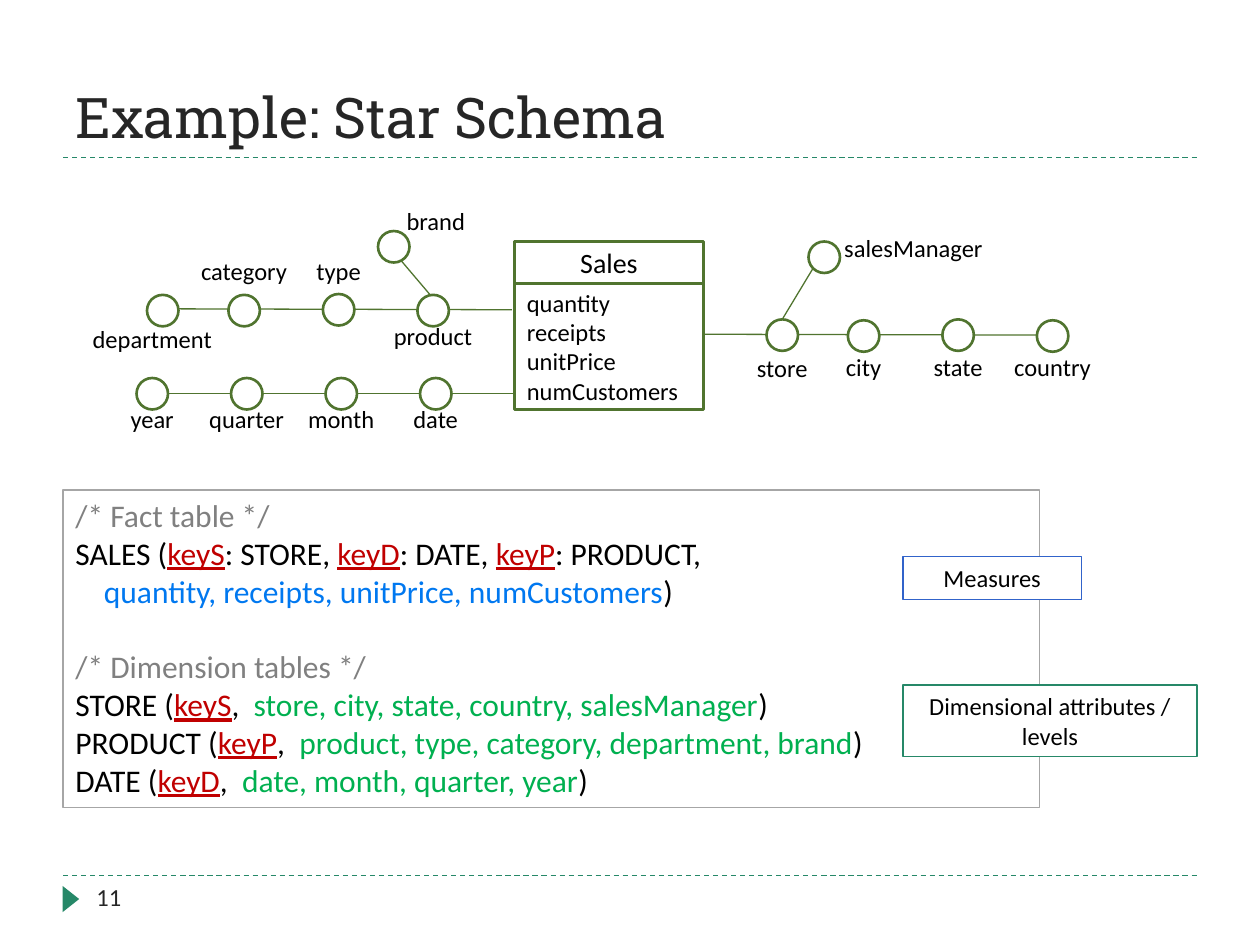
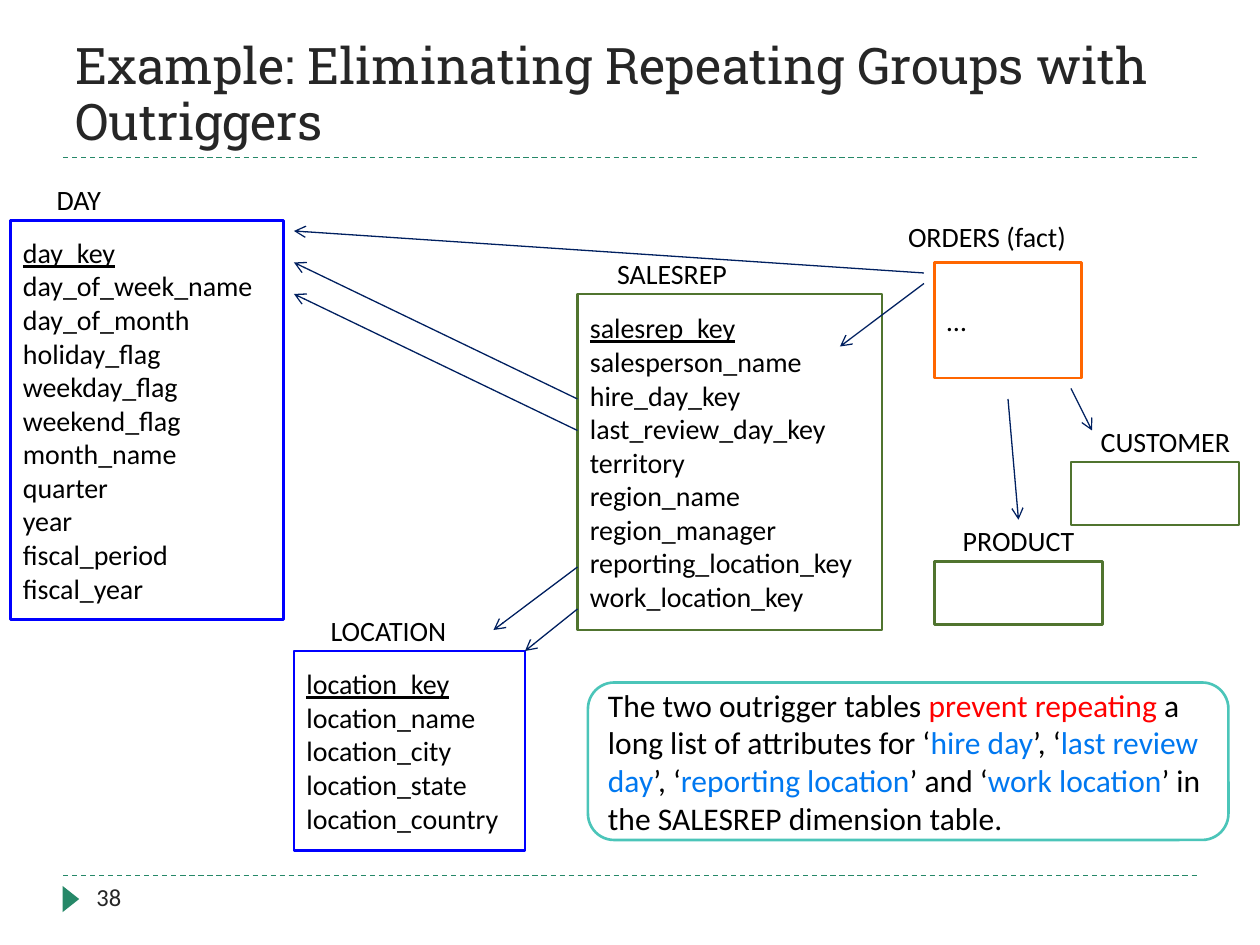
from typing import NamedTuple

from lxml.etree import SubElement
from pptx import Presentation
from pptx.dml.color import RGBColor
from pptx.enum.dml import MSO_LINE
from pptx.enum.shapes import MSO_CONNECTOR, MSO_SHAPE
from pptx.enum.text import MSO_ANCHOR, PP_ALIGN
from pptx.oxml.ns import qn
from pptx.slide import Slide
from pptx.text.text import TextFrame
from pptx.util import Pt

HUES = {
    "white": "FFFFFF", "ink": "000000", "dark": "262626", "teal": "268868",
    "olive": "50742F", "gray": "808080", "silver": "A6A6A6", "key": "C00000",
    "sky": "0078F0", "leaf": "00B050", "royal": "3163CA", "navy": "002060",
    "blue": "0000FF", "orange": "FF6600", "red": "FF0000", "aqua": "4BC5B9",
}


class Box(NamedTuple):
    x: float
    y: float
    w: float
    h: float


class Run(NamedTuple):
    text: str
    hue: str = "ink"
    under: bool = False


class Style(NamedTuple):
    size: float = 14
    align: PP_ALIGN = PP_ALIGN.LEFT
    anchor: MSO_ANCHOR = MSO_ANCHOR.TOP
    face: str = "Calibri"
    pitch: float = 1.0


class Node(NamedTuple):
    name: str
    x: float
    y: float
    dx: float = -24
    dy: float = 15
    wide: float = 66


class Table(NamedTuple):
    name: str
    head: Box
    body: Box
    hue: str
    rows: tuple[str, ...] = ()
    keyed: bool = True


class Line(NamedTuple):
    x1: float
    y1: float
    x2: float
    y2: float


Lines = list[list[Run]]
LABEL = Style(align=PP_ALIGN.CENTER)
HEAD = Style(16, PP_ALIGN.CENTER, MSO_ANCHOR.MIDDLE)
BODY = Style(16, anchor=MSO_ANCHOR.MIDDLE)


def tint(name: str) -> RGBColor:
    return RGBColor.from_string(HUES[name])


def plain(*texts: str, hue: str = "ink") -> Lines:
    return [[Run(text, hue)] for text in texts]


def write(frame: TextFrame, lines: Lines, style: Style) -> None:
    frame.word_wrap = True
    frame.vertical_anchor = style.anchor
    for i, runs in enumerate(lines):
        para = frame.paragraphs[0] if i == 0 else frame.add_paragraph()
        para.alignment = style.align
        para.line_spacing = style.pitch
        para.font.name = style.face
        para.font.size = Pt(style.size)
        same = len({(run.hue, run.under) for run in runs}) == 1
        if same:
            para.font.color.rgb = tint(runs[0].hue)
            para.font.underline = runs[0].under
        for run in runs:
            part = para.add_run()
            part.text = run.text
            if not same:
                part.font.color.rgb = tint(run.hue)
                part.font.underline = run.under


def label(slide: Slide, box: Box, lines: Lines, style: Style = LABEL) -> None:
    write(slide.shapes.add_textbox(*map(Pt, box)).text_frame, lines, style)


def block(slide: Slide, box: Box, edge: str | None = None, lines: Lines | None = None,
          style: Style = BODY, width: float = 1.5, fill: str = "white",
          kind: MSO_SHAPE = MSO_SHAPE.RECTANGLE, turn: float = 0) -> TextFrame:
    shape = slide.shapes.add_shape(kind, *map(Pt, box))
    shape.shadow.inherit = False
    shape.rotation = turn
    shape.fill.solid()
    shape.fill.fore_color.rgb = tint(fill)
    if edge:
        shape.line.color.rgb = tint(edge)
        shape.line.width = Pt(width)
    else:
        shape.line.fill.background()
    if lines:
        write(shape.text_frame, lines, style)
    return shape.text_frame


def link(slide: Slide, ends: Line, hue: str, dash: bool = False, arrow: bool = False) -> None:
    wire = slide.shapes.add_connector(MSO_CONNECTOR.STRAIGHT, *map(Pt, ends))
    wire.line.color.rgb = tint(hue)
    wire.line.width = Pt(0.75)
    if dash:
        wire.line.dash_style = MSO_LINE.DASH
    props = wire._element.spPr
    if arrow:
        SubElement(props.find(qn("a:ln")), qn("a:tailEnd"), type="arrow")
    SubElement(props, qn("a:effectLst"))


def start(deck: Presentation, title: str, number: int, size: float) -> Slide:
    slide = deck.slides.add_slide(deck.slide_layouts[6])
    for y in (500.4, 90):
        link(slide, Line(36, y, 684, y), "teal", dash=True)
    block(slide, Box(33, 509, 15, 9.5), fill="teal",
          kind=MSO_SHAPE.ISOSCELES_TRIANGLE, turn=90)
    label(slide, Box(36, 18, 648, 72), plain(title, hue="dark"),
          Style(size, anchor=MSO_ANCHOR.BOTTOM, face="Roboto Slab", pitch=0.92))
    label(slide, Box(48, 500.4, 156, 29), plain(str(number), hue="dark"), Style())
    return slide


NODES = [
    *(Node(name, 78 + 54 * i, 216, dy=11.5)
      for i, name in enumerate(("year", "quarter", "month", "date"))),
    Node("department", 84, 168.5, -42, 13, 90),
    Node("category", 130.5, 168.5, dy=-26),
    Node("type", 184.5, 168, dy=-25.5),
    Node("product", 238.5, 168.5, dy=11.5),
    Node("brand", 216, 132, 6, -18, 54),
    Node("store", 438, 182.5, dy=15.5),
    Node("city", 484.5, 183, dy=14.5),
    Node("state", 538.5, 182.5),
    Node("country", 592.5, 183, dy=14.5),
    Node("salesManager", 462, 138, 6, -8.5, 108),
]
PATHS = [
    Line(402, 191, 592.5, 191.5), Line(96, 225, 294, 225), Line(102, 176.5, 292.5, 177),
    Line(228, 147.5, 247.5, 170.5), Line(464.5, 153.5, 447, 182.5),
]


def table_line(name: str, key: str, fields: str) -> list[Run]:
    return [Run(f"{name} ("), Run(key, "key", True), Run(",  "), Run(fields, "leaf"), Run(")")]


def star(deck: Presentation) -> None:
    slide = start(deck, "Example: Star Schema", 11, 32)
    for ends in PATHS:
        link(slide, ends, "olive")
    block(slide, Box(294, 138, 108, 24), "olive", plain("Sales"), HEAD)
    block(slide, Box(294, 162, 108, 72), "olive",
          plain("quantity", "receipts", "unitPrice", "numCustomers"), BODY._replace(size=14))
    for node in NODES:
        block(slide, Box(node.x, node.y, 18, 18), "olive", kind=MSO_SHAPE.OVAL)
        label(slide, Box(node.x + node.dx, node.y + node.dy, node.wide, 24.5), plain(node.name))
    code = [
        [Run("/* Fact table */", "gray")],
        [Run("SALES ("), Run("keyS", "key", True), Run(": STORE, "), Run("keyD", "key", True),
         Run(": DATE, "), Run("keyP", "key", True), Run(": PRODUCT,")],
        [Run("    "), Run("quantity, receipts, unitPrice, numCustomers", "sky"), Run(")")],
        [Run("/* Dimension tables */", "gray")],
        table_line("STORE", "keyS", "store, city, state, country, salesManager"),
        table_line("PRODUCT", "keyP", "product, type, category, department, brand"),
        table_line("DATE", "keyD", "date, month, quarter, year"),
    ]
    frame = block(slide, Box(36, 280, 558, 181.5), "silver", code, Style(18), 0.75)
    frame.paragraphs[3].space_before = Pt(21.6)
    block(slide, Box(516, 318, 102, 24.5), "royal", plain("Measures"), LABEL, 0.75)
    block(slide, Box(516, 391.5, 168, 41), "teal",
          plain("Dimensional attributes / levels"), LABEL, 0.75)


TABLES = [
    Table("SALESREP", Box(330, 144, 108, 24), Box(330, 168, 174, 192), "olive",
          ("salesrep_key", "salesperson_name", "hire_day_key", "last_review_day_key",
           "territory", "region_name", "region_manager", "reporting_location_key",
           "work_location_key")),
    Table("ORDERS (fact)", Box(492, 120, 144, 30), Box(534, 150, 84, 66), "orange",
          ("…",), False),
    Table("PRODUCT", Box(534, 297, 96, 24), Box(534, 321, 96, 36), "olive"),
    Table("LOCATION", Box(168, 348, 108, 24), Box(168, 372, 132, 114), "blue",
          ("location_key", "location_name", "location_city", "location_state",
           "location_country")),
    Table("DAY", Box(6, 102, 78, 24), Box(6, 126, 156, 228), "blue",
          ("day_key", "day_of_week_name", "day_of_month", "holiday_flag", "weekday_flag",
           "weekend_flag", "month_name", "quarter", "year", "fiscal_period", "fiscal_year")),
    Table("CUSTOMER", Box(612, 240, 108, 24), Box(612, 264, 96, 36), "olive"),
]
ARROWS = [
    Line(330, 228, 168, 150), Line(576, 228, 582, 297), Line(528, 162, 480, 198),
    Line(330, 324, 282, 360), Line(612, 222, 624, 246), Line(330, 348, 300, 372),
    Line(330, 246, 168, 168), Line(528, 156, 168, 132),
]


def groups(deck: Presentation) -> None:
    slide = start(deck, "Example: Eliminating Repeating Groups with Outriggers", 38, 28.8)
    for table in TABLES:
        block(slide, table.head, lines=plain(table.name), style=HEAD)
        rows = [[Run(row, under=table.keyed and i == 0)] for i, row in enumerate(table.rows)]
        block(slide, table.body, table.hue, rows)
    for ends in ARROWS:
        link(slide, ends, "navy", arrow=True)
    note = [
        Run("The two outrigger tables "), Run("prevent repeating ", "red"),
        Run("a long list of attributes for ‘"), Run("hire day", "sky"), Run("’, ‘"),
        Run("last review day", "sky"), Run("’, ‘"), Run("reporting location", "sky"),
        Run("’ and ‘"), Run("work location", "sky"),
        Run("’ in the SALESREP dimension table."),
    ]
    block(slide, Box(336, 390, 366, 90), "aqua", [note], BODY._replace(size=18),
          kind=MSO_SHAPE.ROUNDED_RECTANGLE)


def main() -> None:
    deck = Presentation()
    deck.slide_width, deck.slide_height = Pt(720), Pt(540)
    star(deck)
    groups(deck)
    deck.save("out.pptx")


if __name__ == "__main__":
    main()
